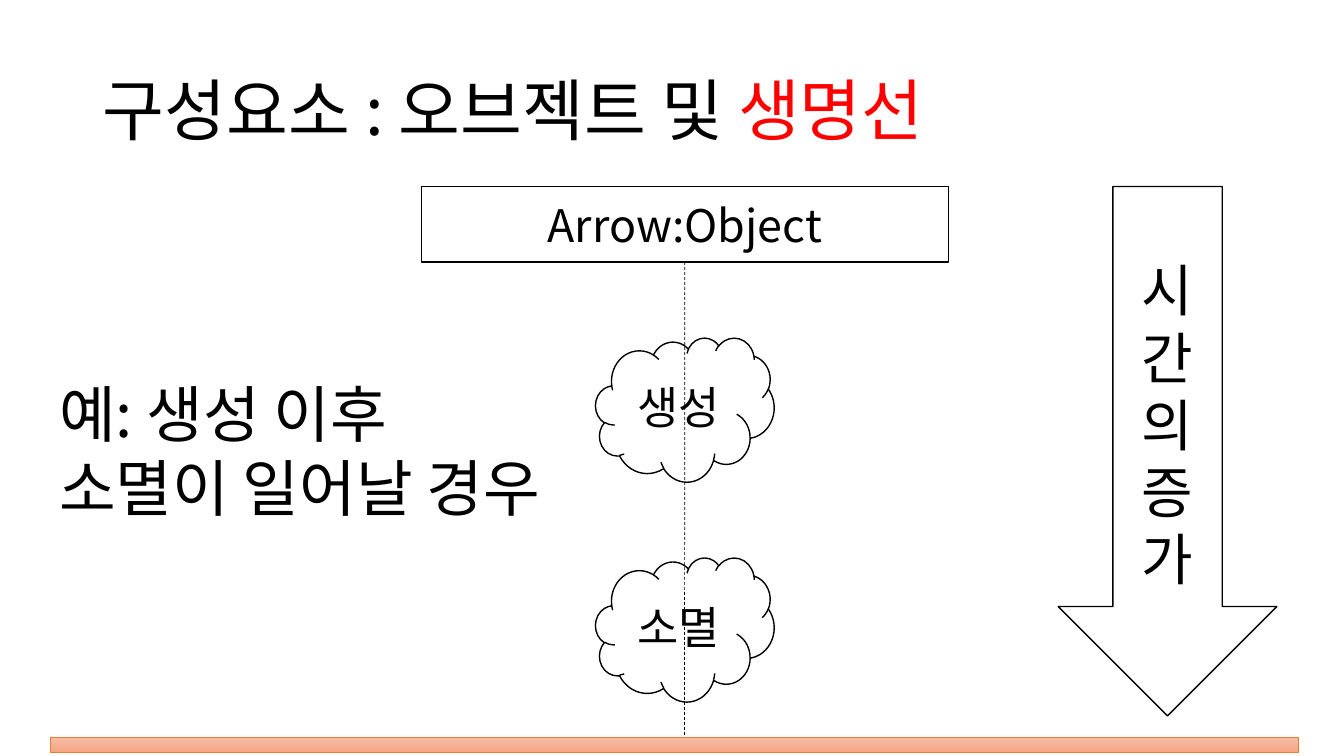
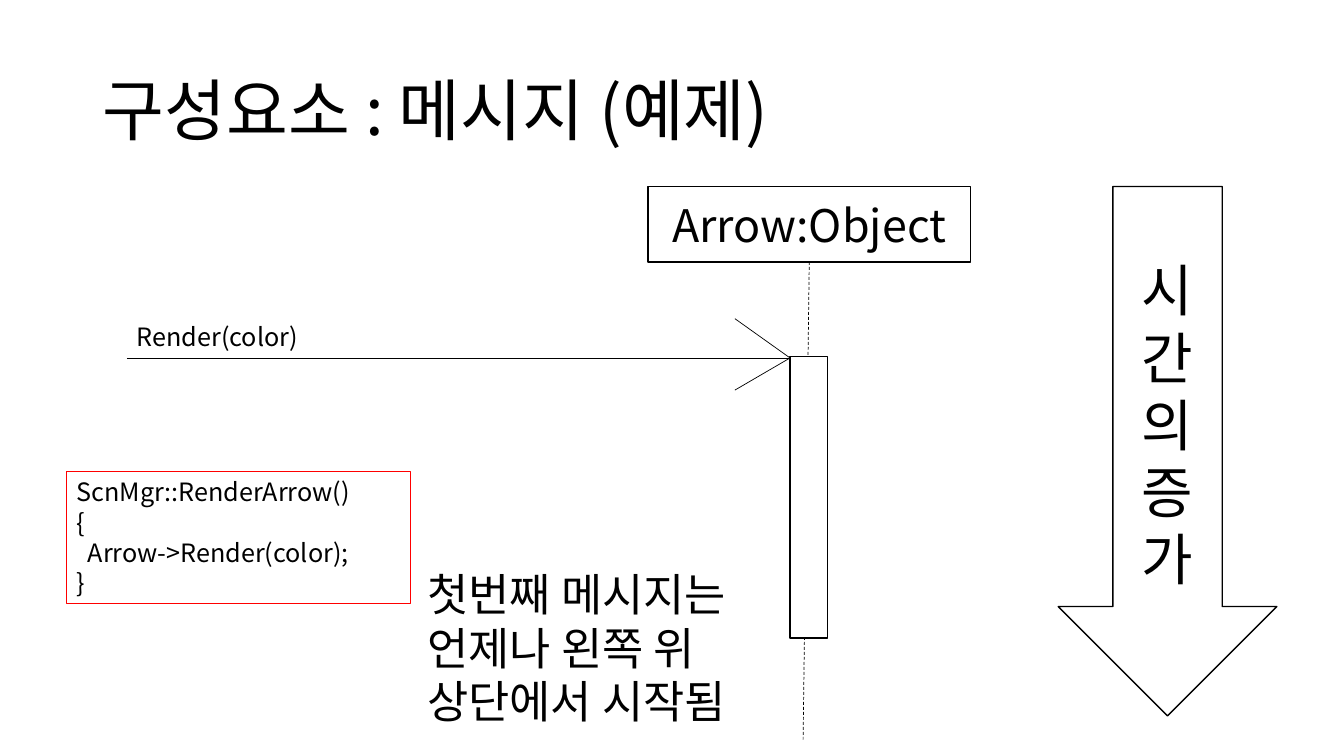
from copy import deepcopy

from lxml.etree import SubElement
from pptx import Presentation
from pptx.dml.color import RGBColor
from pptx.enum.dml import MSO_LINE
from pptx.enum.shapes import MSO_CONNECTOR, MSO_SHAPE, MSO_SHAPE_TYPE
from pptx.enum.text import MSO_ANCHOR, MSO_AUTO_SIZE, PP_ALIGN
from pptx.oxml.ns import qn
from pptx.util import Cm, Pt

FONT = "Noto Sans CJK KR"
BLACK, WHITE, RED, ORANGE = "000000", "FFFFFF", "FF0000", "ED7D31"


def color(value):
    return RGBColor.from_string(value)


def write(shape, lines, size, align=PP_ALIGN.LEFT, anchor=MSO_ANCHOR.TOP):
    """Fill the shape with lines, each a list of (text, colour) runs."""
    frame = shape.text_frame
    frame.word_wrap = True
    frame.vertical_anchor = anchor
    for number, runs in enumerate(lines):
        paragraph = frame.add_paragraph() if number else frame.paragraphs[0]
        paragraph.alignment = align
        for text, text_color in runs:
            run = paragraph.add_run()
            run.text = text
            run.font.size = Pt(size)
            run.font.color.rgb = color(text_color)
            run.font.name = FONT
            SubElement(run.font._element, qn("a:ea"), typeface=FONT)


presentation = Presentation()
presentation.slide_width = Cm(33.87)
presentation.slide_height = Cm(19.05)
title_only = presentation.slide_layouts[5]

# Title, object with its lifeline, and time arrow on every slide
contents = [
    ([("구성요소 : 오브젝트 및 ", BLACK), ("생명선", RED)], 10.62, 13.28, (17.25, 18.52)),
    ([("구성요소 : 메시지 (예제)", BLACK)], 16.33, 8.13, (20.24, 18.64)),
]
for title_runs, object_left, object_width, (end_x, end_y) in contents:
    slide = presentation.slides.add_slide(title_only)
    title = slide.shapes.title
    title.left, title.top, title.width, title.height = Cm(2.34), Cm(1.02), Cm(29.21), Cm(3.68)
    write(title, [title_runs], 48, anchor=MSO_ANCHOR.MIDDLE)
    title.text_frame.auto_size = MSO_AUTO_SIZE.NONE
    title.text_frame.paragraphs[0].line_spacing = 0.9

    object_box = slide.shapes.add_shape(
        MSO_SHAPE.RECTANGLE, Cm(object_left), Cm(4.7), Cm(object_width), Cm(1.9))
    write(object_box, [[("Arrow:Object", BLACK)]], 32, PP_ALIGN.CENTER, MSO_ANCHOR.MIDDLE)

    lifeline = slide.shapes.add_connector(
        MSO_CONNECTOR.STRAIGHT, Cm(end_x), Cm(6.6), Cm(end_x), Cm(end_y))
    lifeline.begin_connect(object_box, 2)
    lifeline.line.dash_style = MSO_LINE.DASH

    time_arrow = slide.shapes.add_shape(
        MSO_SHAPE.DOWN_ARROW, Cm(26.67), Cm(4.7), Cm(5.51), Cm(13.34))
    write(time_arrow, [[("시간의 증가", BLACK)]], 40, PP_ALIGN.CENTER, MSO_ANCHOR.MIDDLE)

lifeline_slide, message_slide = presentation.slides

# Events on the lifeline
for event, top in (("생성", 8.51), ("소멸", 14.05)):
    cloud = lifeline_slide.shapes.add_shape(
        MSO_SHAPE.CLOUD, Cm(15.01), Cm(top), Cm(4.5), Cm(3.63))
    write(cloud, [[(event, BLACK)]], 32, PP_ALIGN.CENTER, MSO_ANCHOR.MIDDLE)

# Message with its open arrowhead, and the activation it starts
for start_x, start_y in ((18.52, 8.03), (18.52, 9.83), (3.2, 9.02)):
    message_slide.shapes.add_connector(
        MSO_CONNECTOR.STRAIGHT, Cm(start_x), Cm(start_y), Cm(19.91), Cm(9.02))
message_slide.shapes.add_shape(
    MSO_SHAPE.RECTANGLE, Cm(19.91), Cm(8.99), Cm(0.94), Cm(7.09))

# Notes, message label and code
code = ["ScnMgr::RenderArrow()", "{", "  Arrow->Render(color);", "}"]
text_boxes = [
    (lifeline_slide, (1.24, 9.35, 12.67, 4.06), ["예: 생성 이후 소멸이 일어날 경우"], 44, None),
    (message_slide, (10.52, 14.15, 9.27, 4.37),
     ["첫번째 메시지는 언제나 왼쪽 위 상단에서 시작됨"], 32, None),
    (message_slide, (3.2, 7.98, 8.41, 1.04), ["Render(color)"], 18, None),
    (message_slide, (1.68, 11.89, 8.66, 3.33), code, 18, RED),
]
for slide, place, lines, size, border in text_boxes:
    text_box = slide.shapes.add_textbox(*map(Cm, place))
    write(text_box, [[(line, BLACK)] for line in lines], size)
    text_box.text_frame.auto_size = MSO_AUTO_SIZE.SHAPE_TO_FIT_TEXT
    if border:
        text_box.line.color.rgb = color(border)
        text_box.line.width = Pt(0.75)

# Common look of connectors and shapes
for slide in presentation.slides:
    for shape in slide.shapes:
        if shape.shape_type == MSO_SHAPE_TYPE.LINE:
            shape.line.color.rgb = color(BLACK)
            shape.line.width = Pt(0.5)
            SubElement(shape._element.spPr, qn("a:effectLst"))
        elif shape.shape_type == MSO_SHAPE_TYPE.AUTO_SHAPE:
            shape.shadow.inherit = False
            shape.line.color.rgb = color(BLACK)
            shape.line.width = Pt(1)
            if shape.auto_shape_type == MSO_SHAPE.CLOUD:
                shape.fill.background()
            else:
                shape.fill.solid()
                shape.fill.fore_color.rgb = color(WHITE)

# Bar at the end of the lifeline
bar = lifeline_slide.shapes.add_shape(
    MSO_SHAPE.RECTANGLE, Cm(1.27), Cm(18.59), Cm(31.45), Cm(0.36))
bar.shadow.inherit = False
bar.line.color.rgb = color(ORANGE)
bar.line.width = Pt(0.5)
bar.fill.gradient()
bar.fill.gradient_angle = 270
stop_list = bar._element.spPr.find(".//" + qn("a:gsLst"))
stop_list.insert(1, deepcopy(stop_list[0]))
bar_stops = ((0, "F7BDA5"), (0.5, "F5B196"), (1, "F8A582"))
for stop, (position, stop_color) in zip(bar.fill.gradient_stops, bar_stops):
    stop.position = position
    stop.color.rgb = color(stop_color)

presentation.save("out.pptx")
